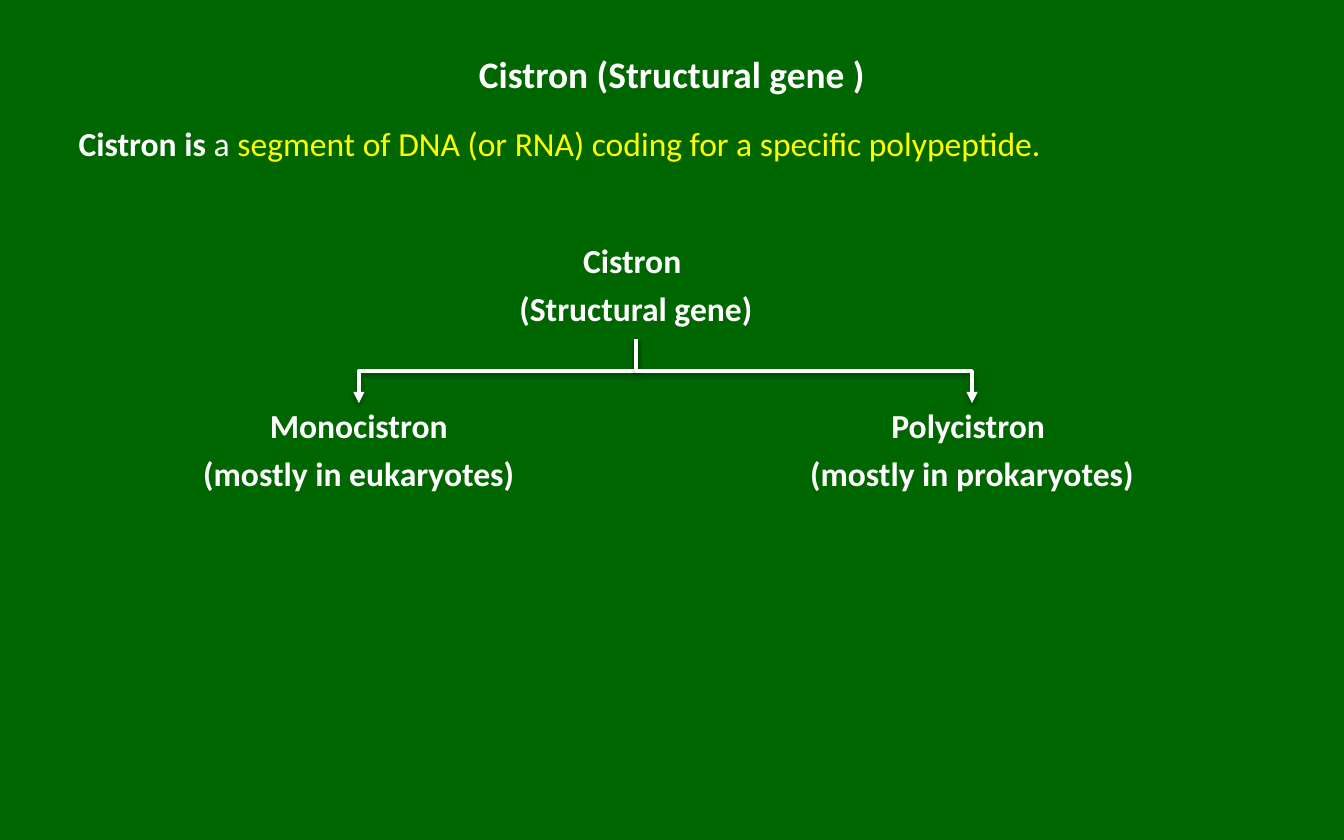
from lxml.etree import SubElement
from pptx import Presentation
from pptx.dml.color import RGBColor
from pptx.enum.shapes import MSO_CONNECTOR
from pptx.enum.text import MSO_ANCHOR, MSO_AUTO_SIZE, PP_ALIGN
from pptx.oxml import parse_xml
from pptx.oxml.ns import nsdecls, qn
from pptx.util import Pt

GREEN = RGBColor(0x00, 0x66, 0x00)
WHITE = RGBColor(0xFF, 0xFF, 0xFF)
YELLOW = RGBColor(0xFF, 0xFF, 0x00)
SHADOW = (
    f'<a:effectLst {nsdecls("a")}>'
    '<a:outerShdw blurRad="40000" dist="20000" dir="5400000" rotWithShape="0">'
    '<a:srgbClr val="000000"><a:alpha val="38000"/></a:srgbClr>'
    '</a:outerShdw></a:effectLst>'
)


def add_box(slide, box):
    shape = slide.shapes.add_textbox(*(Pt(n) for n in box))
    shape.text_frame.word_wrap = True
    return shape.text_frame


def add_run(para, text, size=18, color=WHITE, bold=True):
    run = para.add_run()
    run.text = text
    font = run.font
    font.name, font.size, font.bold = "Calibri", Pt(size), bold
    font.color.rgb = color


def add_title(slide, box):
    frame = add_box(slide, box)
    frame.vertical_anchor = MSO_ANCHOR.MIDDLE
    para = frame.paragraphs[0]
    para.alignment = PP_ALIGN.CENTER
    add_run(para, "Cistron (Structural gene )", size=20)


def add_meaning(slide, box):
    para = add_box(slide, box).paragraphs[0]
    add_run(para, "Cistron is ")
    add_run(para, "a ", bold=False)
    add_run(para, "segment of DNA (or RNA) coding for a specific polypeptide.",
            color=YELLOW, bold=False)


def add_node(slide, box, lines):
    frame = add_box(slide, box)
    frame.auto_size = MSO_AUTO_SIZE.SHAPE_TO_FIT_TEXT
    for i, text in enumerate(lines):
        para = frame.add_paragraph() if i else frame.paragraphs[0]
        para.alignment = PP_ALIGN.CENTER
        para.line_spacing = 0.9
        para.space_after = Pt(6.3)
        add_run(para, text)


def add_branch(slide, start, end):
    """Elbow arrow that leaves downward: a level elbow turned by a quarter."""
    (x1, y1), (x2, y2) = start, end
    mid_x, mid_y = (x1 + x2) / 2, (y1 + y2) / 2
    side = 1 if x2 > x1 else -1
    half_w, half_h = side * (y2 - y1) / 2, abs(x2 - x1) / 2
    line = slide.shapes.add_connector(
        MSO_CONNECTOR.ELBOW,
        Pt(mid_x + half_w), Pt(mid_y - half_h),
        Pt(mid_x - half_w), Pt(mid_y + half_h))
    props = line._element.spPr
    turn = 270 if side > 0 else 90
    props.find(qn("a:xfrm")).set("rot", str(turn * 60000))
    line.line.color.rgb = WHITE
    line.line.width = Pt(2)
    SubElement(props.find(qn("a:ln")), qn("a:tailEnd"), type="triangle")
    props.append(parse_xml(SHADOW))


def add_tree(slide, box):
    left, top, width, height = box
    node_w, node_h = 360, 54
    low = top + height - node_h
    root_x = left + 148.5
    add_node(slide, (root_x, top, node_w, node_h),
             ("Cistron ", "(Structural gene)"))
    kinds = (
        (left, ("Monocistron", "(mostly in eukaryotes)")),
        (left + width - node_w, ("Polycistron ", "(mostly in prokaryotes)")),
    )
    start = (root_x + node_w / 2, top + node_h)
    for x, lines in kinds:
        add_node(slide, (x, low, node_w, node_h), lines)
        add_branch(slide, start, (x + node_w / 2, low))


def main():
    deck = Presentation()
    deck.slide_width, deck.slide_height = Pt(720), Pt(450)
    slide = deck.slides.add_slide(deck.slide_layouts[6])
    fill = slide.background.fill
    fill.solid()
    fill.fore_color.rgb = GREEN

    add_title(slide, (36, 18, 648, 42.5))
    add_meaning(slide, (35, 62.5, 648, 42.5))
    add_tree(slide, (12.25, 127.5, 688.5, 142.5))
    deck.save("out.pptx")


if __name__ == "__main__":
    main()
